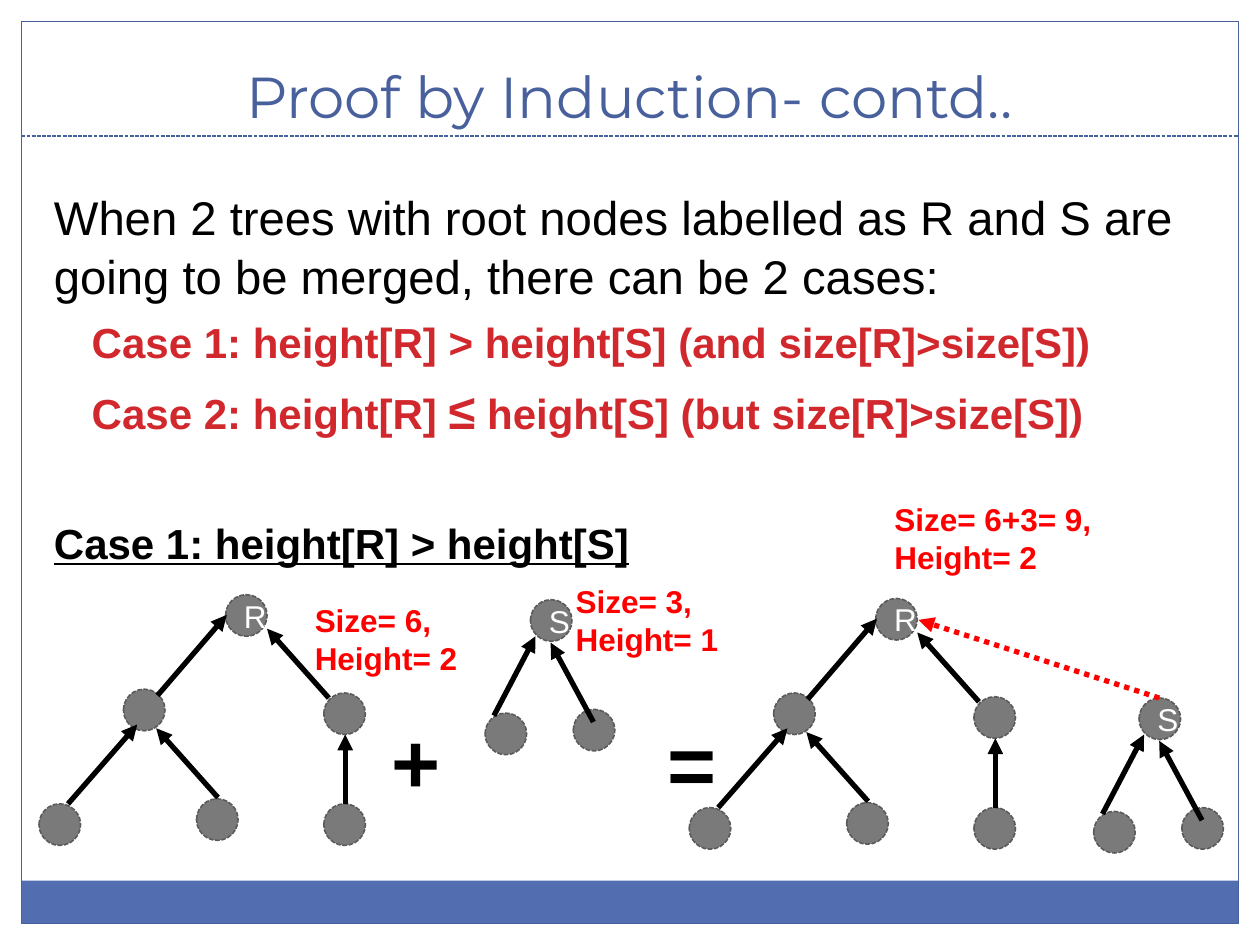
from pptx import Presentation
from pptx.dml.color import RGBColor
from pptx.enum.dml import MSO_LINE
from pptx.enum.shapes import MSO_CONNECTOR, MSO_SHAPE
from pptx.enum.text import MSO_ANCHOR, PP_ALIGN
from pptx.oxml.ns import qn
from pptx.util import Inches, Pt
from lxml.etree import SubElement

WHITE = RGBColor(0xFF, 0xFF, 0xFF)
BLACK = RGBColor(0, 0, 0)
RED = RGBColor(0xFF, 0, 0)
CRIMSON = RGBColor(0xD1, 0x28, 0x2E)
BLUE = RGBColor(0x52, 0x6D, 0xB0)
NAVY = RGBColor(0x48, 0x60, 0x9B)
GRAY = RGBColor(0x7A, 0x7A, 0x7A)
DARK_GRAY = RGBColor(0x5A, 0x5A, 0x5A)

NODE_SIZE = 0.33
R_NODES = [(1.48, 0), (2.26, 1.66), (1.25, 1.62), (0, 1.66), (0.67, 0.75), (2.26, 0.78)]
R_EDGES = [
    (0.23, 1.66, 0.78, 1.03),
    (2.43, 1.66, 2.43, 1.11),
    (0.94, 0.8, 1.49, 0.16),
    (1.42, 1.61, 0.93, 1.06),
    (2.3, 0.82, 1.81, 0.27),
]
S_NODES = [(0.36, 0), (0, 0.9), (0.7, 0.87)]
S_EDGES = [(0.07, 0.92, 0.4, 0.29), (0.86, 0.97, 0.52, 0.34)]


def style_font(font, size, color, bold=False, name="Arial"):
    font.name = name
    font.size = Pt(size)
    font.bold = bold
    font.color.rgb = color


def add_line(shapes, start_x, start_y, end_x, end_y, color, width, dash=None, arrow=True):
    line = shapes.add_connector(
        MSO_CONNECTOR.STRAIGHT, Inches(start_x), Inches(start_y), Inches(end_x), Inches(end_y)
    )
    line.line.color.rgb = color
    line.line.width = Pt(width)
    if dash:
        line.line.dash_style = dash
    if arrow:
        SubElement(line.line._get_or_add_ln(), qn("a:tailEnd"), type="triangle")
    SubElement(line._element.spPr, qn("a:effectLst"))


def add_text(shapes, left, top, width, height, lines, size, color, bold=True, name="Arial"):
    box = shapes.add_textbox(Inches(left), Inches(top), Inches(width), Inches(height))
    frame = box.text_frame
    frame.text = "\n".join(lines)
    for paragraph in frame.paragraphs:
        style_font(paragraph.font, size, color, bold, name)
    return frame


def add_frame(slide, left, top, width, height):
    footer_height = 0.34
    footer = slide.shapes.add_shape(
        MSO_SHAPE.RECTANGLE, Inches(left), Inches(top + height - footer_height),
        Inches(width), Inches(footer_height)
    )
    footer.shadow.inherit = False
    footer.fill.solid()
    footer.fill.fore_color.rgb = BLUE
    footer.line.fill.background()
    border = slide.shapes.add_shape(
        MSO_SHAPE.RECTANGLE, Inches(left), Inches(top), Inches(width), Inches(height)
    )
    border.shadow.inherit = False
    border.fill.background()
    border.line.color.rgb = NAVY
    border.line.width = Pt(0.75)
    add_line(slide.shapes, left, 1.08, left + width, 1.08, NAVY, 0.75, MSO_LINE.SQUARE_DOT, False)


def add_title(slide, left, top, width, height):
    frame = add_text(slide.shapes, left, top, width, height,
                     ["Proof by Induction- contd.."], 33, NAVY, False, "Montserrat")
    frame.word_wrap = True
    frame.vertical_anchor = MSO_ANCHOR.BOTTOM
    frame.paragraphs[0].alignment = PP_ALIGN.CENTER


def add_body(slide, left, top, width, height):
    entries = [
        (["When 2 trees with root nodes labelled as R and S are going to be merged, "
          "there can be 2 cases:"], 27, BLACK, False, 0, 0),
        (["Case 1: height[R] > height[S] (and size[R]>size[S])"], 24, CRIMSON, True, 0.3, 5.5),
        (["Case 2: height[R] ", "≤", " height[S] (but size[R]>size[S])"], 24, CRIMSON, True, 0.3, 6),
        (["Case 1: height[R] > height[S]"], 24, BLACK, True, 0, 43.5),
    ]
    box = slide.shapes.add_textbox(Inches(left), Inches(top), Inches(width), Inches(height))
    frame = box.text_frame
    frame.word_wrap = True
    for index, (texts, size, color, bold, indent, space) in enumerate(entries):
        paragraph = frame.add_paragraph() if index else frame.paragraphs[0]
        for text in texts:
            run = paragraph.add_run()
            run.text = text
            if text == "≤":
                run.font.size = Pt(28)
        style_font(paragraph.font, size, color, bold)
        paragraph.space_before = Pt(space)
        paragraph.line_spacing = 1.05
        paragraph._p.get_or_add_pPr().set("marL", str(Inches(indent)))
    frame.paragraphs[-1].font.underline = True


def add_node(shapes, left, top, text):
    node = shapes.add_shape(
        MSO_SHAPE.OVAL, Inches(left), Inches(top), Inches(NODE_SIZE), Inches(NODE_SIZE)
    )
    node.shadow.inherit = False
    node.fill.solid()
    node.fill.fore_color.rgb = GRAY
    node.line.color.rgb = DARK_GRAY
    node.line.width = Pt(0.9)
    node.line.dash_style = MSO_LINE.SQUARE_DOT
    if text:
        node.text_frame.text = text
        node.text_frame.vertical_anchor = MSO_ANCHOR.MIDDLE
        paragraph = node.text_frame.paragraphs[0]
        paragraph.alignment = PP_ALIGN.CENTER
        style_font(paragraph.font, 18, WHITE)


def add_tree(slide, left, top, root, nodes, edges):
    shapes = slide.shapes.add_group_shape().shapes
    for index, (x, y) in enumerate(nodes):
        add_node(shapes, left + x, top + y, "" if index else root)
    for start_x, start_y, end_x, end_y in edges:
        add_line(shapes, left + start_x, top + start_y, left + end_x, top + end_y, BLACK, 3)


def main():
    presentation = Presentation()
    presentation.slide_width = Inches(10)
    presentation.slide_height = Inches(7.5)
    slide = presentation.slides.add_slide(presentation.slide_layouts[6])
    add_frame(slide, 0.17, 0.17, 9.66, 7.16)
    add_title(slide, 0.33, 0.25, 9.33, 0.83)
    add_body(slide, 0.33, 1.42, 9.3, 5)
    for left, top in [(0.31, 4.72), (5.47, 4.75)]:
        add_tree(slide, left, top, "R", R_NODES, R_EDGES)
    for left, top in [(3.85, 4.76), (8.68, 5.54)]:
        add_tree(slide, left, top, "S", S_NODES, S_EDGES)
    for left, top, width, size, tree_height in [
        (2.4, 4.72, 1.34, "6", 2), (4.47, 4.57, 1.34, "3", 1), (7, 3.92, 1.85, "6+3= 9", 2)
    ]:
        add_text(slide.shapes, left, top, width, 0.71,
                 [f"Size= {size},", f"Height= {tree_height}"], 18, RED)
    for left, top, symbol in [(3.01, 5.58, "+"), (5.2, 5.6, "=")]:
        add_text(slide.shapes, left, top, 0.59, 0.91, [symbol], 48, BLACK)
    add_line(slide.shapes, 9.2, 5.54, 7.29, 4.92, RED, 3, MSO_LINE.ROUND_DOT)
    presentation.save("out.pptx")


if __name__ == "__main__":
    main()
